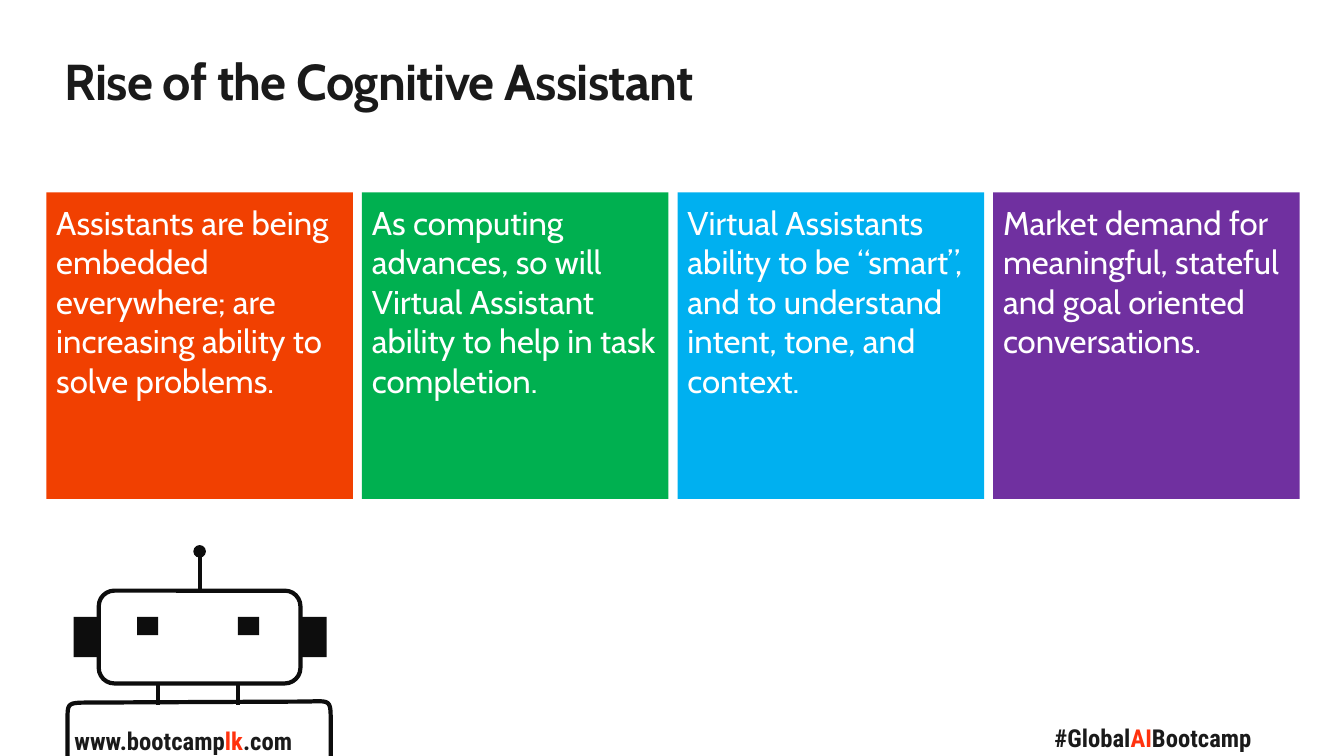
from dataclasses import dataclass

from lxml import etree
from pptx import Presentation
from pptx import util as u
from pptx.dml.color import RGBColor
from pptx.enum import shapes, text
from pptx.oxml.ns import qn

SCALE = 9144


@dataclass(frozen=True)
class Theme:
    ink: str = "1A1A1A"
    accent: str = "FF320E"
    robot: str = "0D0D0D"
    paper: str = "FFFFFF"
    tiles: tuple = ("F14001", "00B050", "00B0F0", "7030A0")
    heading_font: str = "Cabin"
    footer_font: str = "Roboto Condensed"
    title_size: float = 36
    tile_size: float = 23.5
    footer_size: float = 17.6
    stroke: float = 3


def px(value):
    return u.Emu(round(value * SCALE))


def apply(target, values):
    for name, value in values.items():
        setattr(target, name, value)


def curve(start, corner, end, steps=10):
    points = []
    for step in range(1, steps + 1):
        t = step / steps
        weights = ((1 - t) ** 3, 3 * t * (1 - t), t ** 3)
        points.append(tuple(sum(w * p[axis] for w, p in zip(weights, (start, corner, end)))
                            for axis in (0, 1)))
    return points


class SlideBuilder:
    def __init__(self, presentation, theme):
        self.theme = theme
        self.slide = presentation.slides.add_slide(presentation.slide_layouts[5])

    def place(self, shape, box):
        apply(shape, dict(zip(("left", "top", "width", "height"), map(px, box))))

    def fill_text(self, shape, pieces, font, size, bold=False, insets=None, **frame_values):
        frame = shape.text_frame
        apply(frame, {"word_wrap": True, "vertical_anchor": text.MSO_ANCHOR.TOP, **frame_values})
        if insets:
            names = ("margin_left", "margin_top", "margin_right", "margin_bottom")
            apply(frame, dict(zip(names, map(px, insets))))
        paragraph = frame.paragraphs[0]
        paragraph.alignment = text.PP_ALIGN.LEFT
        for words, color in pieces:
            run = paragraph.add_run()
            run.text = words
            apply(run.font, {"name": font, "size": u.Pt(size), "bold": bold})
            run.font.color.rgb = RGBColor.from_string(color)
        return paragraph

    def title(self, words, box):
        shape = self.slide.shapes.title
        self.place(shape, box)
        paragraph = self.fill_text(shape, [(words, self.theme.ink)], self.theme.heading_font,
                                   self.theme.title_size, bold=True, insets=(0, 0, 0, 0),
                                   auto_size=text.MSO_AUTO_SIZE.SHAPE_TO_FIT_TEXT)
        paragraph.runs[0].font._element.set("spc", "-50")

    def footer(self, box, pieces, wrap=True):
        shape = self.slide.shapes.add_textbox(*map(px, box))
        self.fill_text(shape, pieces, self.theme.footer_font, self.theme.footer_size, bold=True,
                       word_wrap=wrap, auto_size=text.MSO_AUTO_SIZE.SHAPE_TO_FIT_TEXT)

    def stroke(self, shape):
        shape.line.color.rgb = RGBColor.from_string(self.theme.robot)
        shape.line.width = u.Pt(self.theme.stroke)

    def block(self, box, fill):
        shape = self.slide.shapes.add_shape(shapes.MSO_SHAPE.RECTANGLE, *map(px, box))
        shape.shadow.inherit = False
        shape.fill.solid()
        shape.fill.fore_color.rgb = RGBColor.from_string(fill)
        shape.line.fill.background()
        return shape

    def tile(self, box, words, fill):
        self.fill_text(self.block(box, fill), [(words, self.theme.paper)],
                       self.theme.heading_font, self.theme.tile_size, insets=(10, 10, 0, 5))

    def rounded_outline(self, box):
        shape = self.slide.shapes.add_shape(shapes.MSO_SHAPE.ROUNDED_RECTANGLE, *map(px, box))
        shape.shadow.inherit = False
        shape.fill.background()
        self.stroke(shape)
        return shape

    def open_outline(self, points):
        start, *rest = [tuple(map(px, point)) for point in points]
        builder = self.slide.shapes.build_freeform(*start)
        builder.add_line_segments(rest, close=False)
        shape = builder.convert_to_shape()
        shape.shadow.inherit = False
        shape.fill.background()
        self.stroke(shape)

    def line(self, start, end, source=None, tip=None):
        connector = self.slide.shapes.add_connector(
            shapes.MSO_CONNECTOR.STRAIGHT, *map(px, start + end))
        if source is not None:
            connector.begin_connect(source, 0)
        self.stroke(connector)
        if tip:
            etree.SubElement(connector.line._get_or_add_ln(), qn("a:tailEnd"), type=tip)
        etree.SubElement(connector._element.spPr, qn("a:effectLst"))


def draw_robot(builder):
    ink = builder.theme.robot
    head = builder.rounded_outline((98, 586, 200, 92))
    for eye_left in (136, 236):
        builder.block((eye_left, 612, 21, 18), ink)
    for ear_left in (73, 298):
        builder.block((ear_left, 612, 26, 40), ink)
    builder.line((198, 586), (198, 547), source=head, tip="oval")
    for neck_x in (157, 236):
        builder.line((neck_x, 678), (neck_x, 699))
    left_shoulder = curve((67, 713), (67, 697), (91, 697))
    right_shoulder = curve((306, 696), (328, 695), (328, 715))
    builder.open_outline([(67, 751), (67, 713), *left_shoulder,
                          (306, 696), *right_shoulder, (328, 751)])


def main():
    theme = Theme()
    presentation = Presentation()
    apply(presentation, {"slide_width": px(1333), "slide_height": px(750)})
    builder = SlideBuilder(presentation, theme)
    builder.title("Rise of the Cognitive Assistant", (64, 50, 1205, 61))
    builder.footer((64, 715, 350, 40), [
        ("www.bootcamp", theme.ink), ("lk", theme.accent), (".com", theme.ink)])
    builder.footer((1036, 712, 224, 40), [
        ("#Global", theme.ink), ("AI", theme.accent), ("Bootcamp", theme.ink)], wrap=False)
    draw_robot(builder)
    statements = (
        "Assistants are being embedded everywhere; are increasing ability to solve problems.",
        "As computing advances, so will Virtual Assistant ability to help in task completion.",
        "Virtual Assistants ability to be “smart”, and to understand intent, tone, and context.",
        "Market demand for meaningful, stateful and goal oriented conversations.",
    )
    side, pitch = 304, 313
    for index, (words, fill) in enumerate(zip(statements, theme.tiles)):
        builder.tile((46 + index * pitch, 191, side, side), words, fill)
    presentation.save("out.pptx")


if __name__ == "__main__":
    main()
